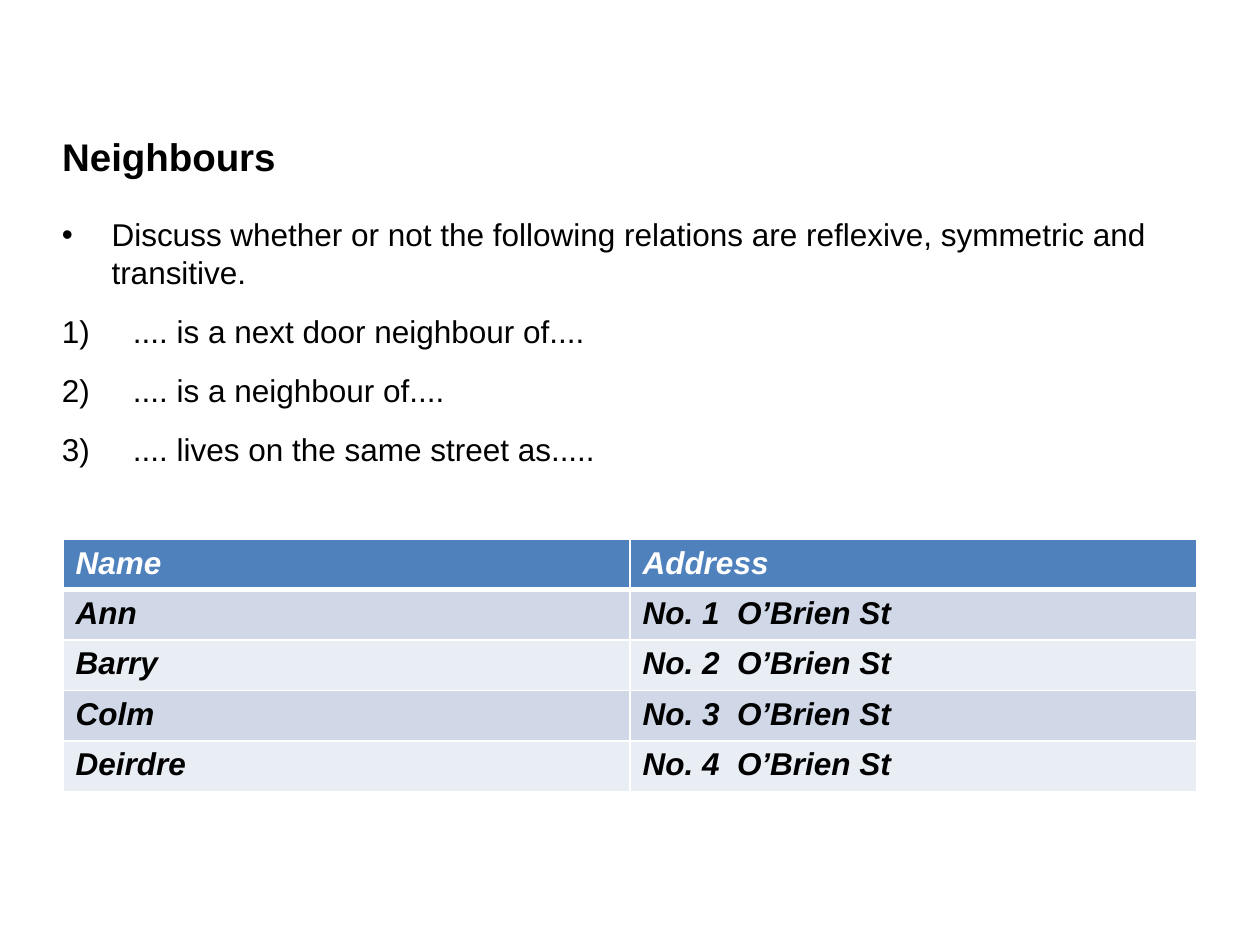
from dataclasses import dataclass

from lxml import etree
from pptx import Presentation
from pptx.dml.color import RGBColor
from pptx.enum import text
from pptx.oxml import ns
from pptx.util import Cm, Pt

COLOURS = {
    "ink": "000000",
    "white": "FFFFFF",
    "header": "4F81BD",
    "dark band": "D0D8E8",
    "light band": "E9EDF4",
}
FONT = "Arial"


@dataclass
class Item:
    wording: str
    indent: float
    bullet: str
    bullet_value: str


@dataclass
class Resident:
    name: str
    address: str


ITEMS = [
    Item("Discuss whether or not the following relations are reflexive, "
         "symmetric and transitive.", 1, "buChar", "•"),
    *(Item(wording, 1.43, "buAutoNum", "arabicParenR") for wording in (
        ".... is a next door neighbour of....",
        ".... is a neighbour of....",
        ".... lives on the same street as.....",
    )),
]
HEADER = Resident("Name", "Address")
RESIDENTS = [
    Resident(name, f"No. {number}  O’Brien St")
    for number, name in enumerate(("Ann", "Barry", "Colm", "Deirdre"), 1)
]


def colour(name: str) -> RGBColor:
    return RGBColor.from_string(COLOURS[name])


def style(para, size: float, ink: str = "ink", bold: bool = False,
          italic: bool = False) -> None:
    font = para.font
    font.name, font.size = FONT, Pt(size)
    font.bold, font.italic = bold, italic
    font.color.rgb = colour(ink)


def add_title(page, wording: str) -> None:
    title = page.shapes.title
    title.left, title.top = Cm(1), Cm(2.6)
    title.width, title.height = Cm(20.62), Cm(1.1)
    frame = title.text_frame
    frame.text = wording
    frame.auto_size = text.MSO_AUTO_SIZE.NONE
    frame.vertical_anchor = text.MSO_ANCHOR.MIDDLE
    para = frame.paragraphs[0]
    para.alignment = text.PP_ALIGN.LEFT
    style(para, 22, bold=True)


def add_bullet(para, item: Item) -> None:
    """Give the paragraph a hanging indent and a bullet or number."""
    properties = para._p.get_or_add_pPr()
    properties.set("marL", str(Cm(item.indent)))
    properties.set("indent", str(-Cm(item.indent)))
    bullet_font = etree.SubElement(properties, ns.qn("a:buFont"))
    bullet_font.set("typeface", FONT)
    bullet = etree.SubElement(properties, ns.qn(f"a:{item.bullet}"))
    key = "char" if item.bullet == "buChar" else "type"
    bullet.set(key, item.bullet_value)


def add_items(page, items: list[Item]) -> None:
    box = page.shapes.add_textbox(Cm(1), Cm(4.22), Cm(23.22), Cm(14.22))
    frame = box.text_frame
    frame.word_wrap = True
    for index, item in enumerate(items):
        para = frame.add_paragraph() if index else frame.paragraphs[0]
        para.text = item.wording
        para.space_before = Pt(12)
        add_bullet(para, item)
        style(para, 18)


def add_borders(cell, top: float, bottom: float) -> None:
    """Draw white lines on all four sides, widths in points."""
    properties = cell._tc.get_or_add_tcPr()
    sides = (("lnL", 1), ("lnR", 1), ("lnT", top), ("lnB", bottom))
    for index, (side, width) in enumerate(sides):
        line = etree.Element(ns.qn(f"a:{side}"), w=str(Pt(width)))
        fill = etree.SubElement(line, ns.qn("a:solidFill"))
        etree.SubElement(fill, ns.qn("a:srgbClr"), val=COLOURS["white"])
        properties.insert(index, line)


def add_address_table(page, rows: list[Resident]) -> None:
    row_height = Cm(0.97)
    table = page.shapes.add_table(
        len(rows), 2, Cm(1.27), Cm(10.87), Cm(22.86), row_height * len(rows)
    ).table
    for index, resident in enumerate(rows):
        table.rows[index].height = row_height
        if index == 0:
            fill, ink = "header", "white"
        else:
            fill, ink = ("dark band" if index % 2 else "light band"), "ink"
        for cell, wording in zip(table.rows[index].cells,
                                 (resident.name, resident.address)):
            cell.text = wording
            style(cell.text_frame.paragraphs[0], 18, ink, True, True)
            cell.fill.solid()
            cell.fill.fore_color.rgb = colour(fill)
            add_borders(cell, top=3 if index == 1 else 1,
                        bottom=3 if index == 0 else 1)


def main() -> None:
    deck = Presentation()
    deck.slide_width, deck.slide_height = Cm(25.4), Cm(19.05)
    page = deck.slides.add_slide(deck.slide_layouts.get_by_name("Title Only"))
    add_title(page, "Neighbours")
    add_items(page, ITEMS)
    add_address_table(page, [HEADER, *RESIDENTS])
    deck.save("out.pptx")


if __name__ == "__main__":
    main()
